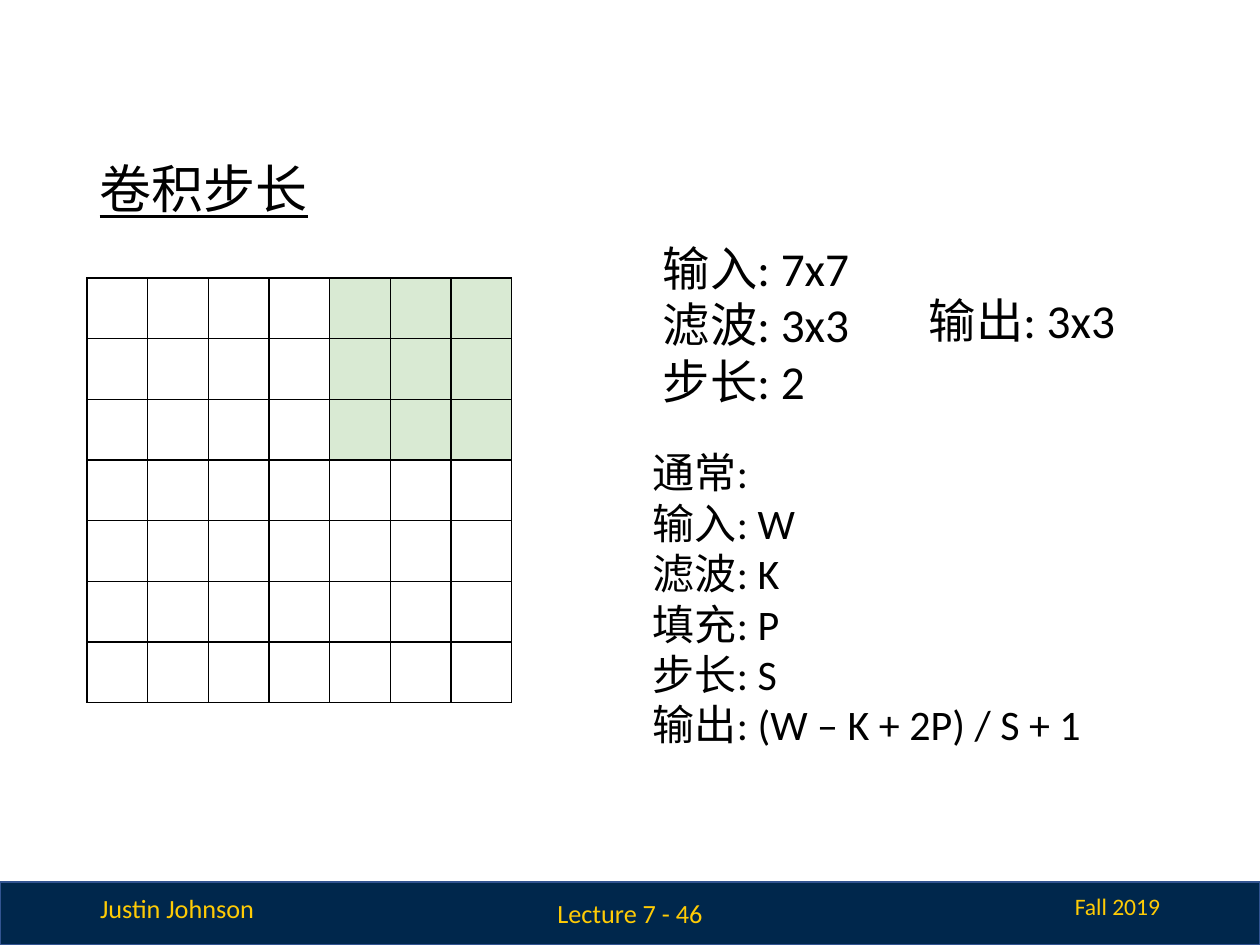
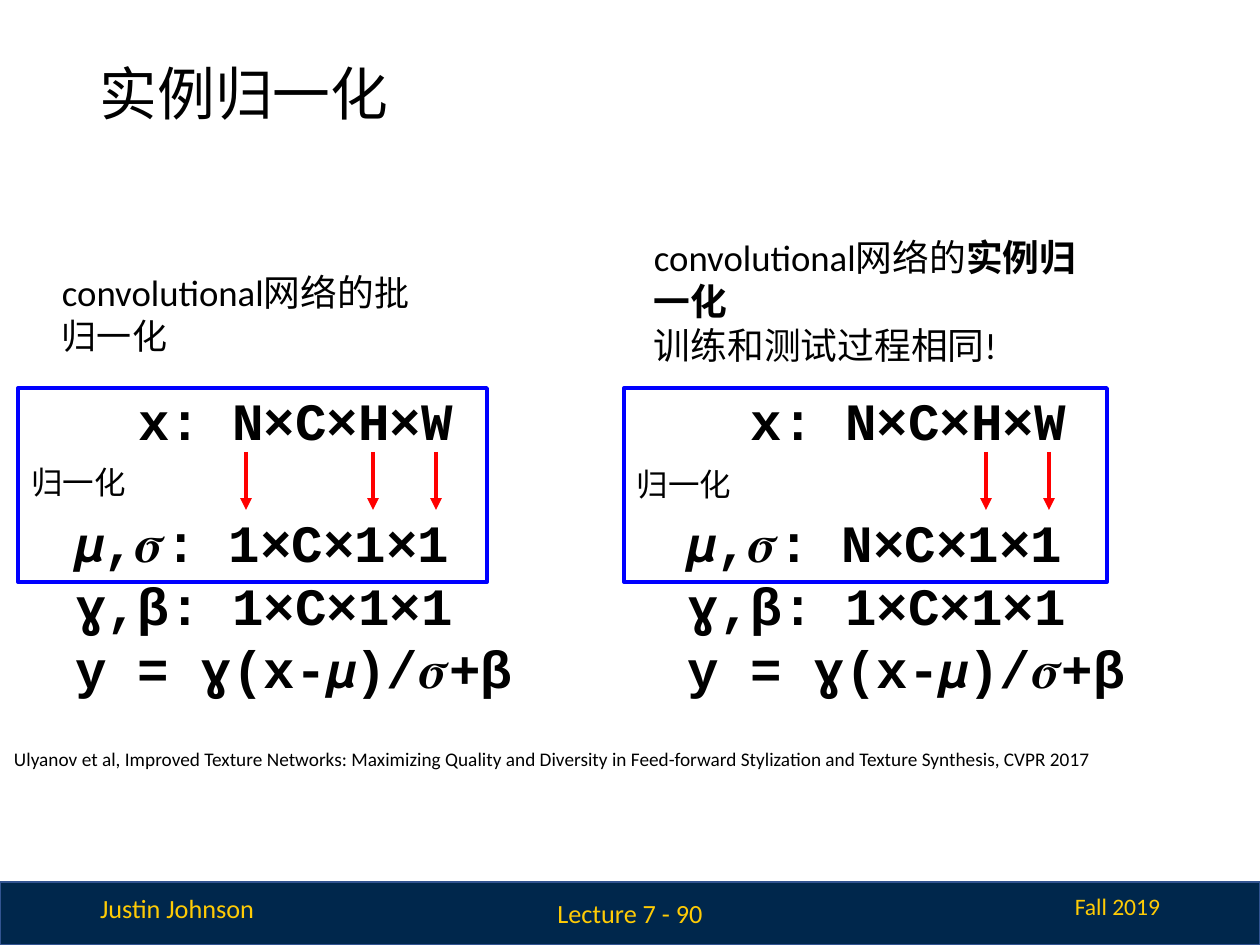
from lxml import etree
from pptx import Presentation
from pptx.dml.color import RGBColor
from pptx.enum import shapes, text
from pptx.oxml import ns
from pptx.util import Emu, Pt

SANS, MONO = "Calibri", "Courier New"
BLACK, NAVY, EDGE, GOLD = "000000", "00274C", "325491", "FFCB05"
BLUE, RED, GREEN = "0000FF", "FF0000", "D9EAD3"
LEFT, MID, RIGHT = text.PP_ALIGN.LEFT, text.PP_ALIGN.CENTER, text.PP_ALIGN.RIGHT
CENTER = text.MSO_ANCHOR.MIDDLE


def px(n):
    return Emu(round(n * 914400 / 126))


def span(box):
    return [px(n) for n in box]


def color(code):
    return RGBColor.from_string(code)


def sub(parent, tag, **attrs):
    return etree.SubElement(parent, ns.qn(tag), **attrs)


def style(para, size, font=SANS, hue=BLACK, bold=None):
    for run in para.runs:
        run.font.size, run.font.name, run.font.bold = Pt(size), font, bold
        run.font.color.rgb = color(hue)


def write(slide, box, lines, size, font=SANS, hue=BLACK, bold=None,
          align=LEFT, anchor=text.MSO_ANCHOR.TOP, pad=13):
    """Add a text box whose top and bottom margins are pad px."""
    shape = slide.shapes.add_textbox(*span(box))
    frame = shape.text_frame
    frame.word_wrap, frame.vertical_anchor = True, anchor
    frame.margin_left = frame.margin_right = px(13)
    frame.margin_top = frame.margin_bottom = px(pad)
    frame.text = "\n".join(lines)
    for para in frame.paragraphs:
        para.alignment = align
        style(para, size, font, hue, bold)
    return shape


def rect(slide, box, line, width, fill=None):
    shape = slide.shapes.add_shape(shapes.MSO_SHAPE.RECTANGLE, *span(box))
    shape.shadow.inherit = False
    if fill:
        shape.fill.solid()
        shape.fill.fore_color.rgb = color(fill)
    else:
        shape.fill.background()
    shape.line.color.rgb, shape.line.width = color(line), Pt(width)
    return shape


def arrow(slide, x, top, end):
    line = slide.shapes.add_connector(
        shapes.MSO_CONNECTOR.STRAIGHT, px(x), px(top), px(x), px(end))
    line.line.color.rgb, line.line.width = color(RED), Pt(2.25)
    sub(line.line._get_or_add_ln(), "a:tailEnd", type="triangle")
    sub(line._element.spPr, "a:effectLst")


def footer(slide, layout):
    """Draw the shared band and move it to the layout."""
    parts = [
        rect(slide, (0, 882, 1260, 63), EDGE, 1, NAVY),
        write(slide, (87, 886, 181, 44), ["Justin Johnson"], 15, hue=GOLD, pad=6),
        write(slide, (924, 886, 249, 42), ["Fall 2019"], 13.5, hue=GOLD,
              align=RIGHT, pad=6),
    ]
    for part in parts:
        layout.shapes._spTree.append(part._element)


def start(slide, name, box, size, page, under=None):
    """Set the title and the page label."""
    title = slide.shapes.title
    title.left, title.top, title.width, title.height = span(box)
    frame = title.text_frame
    frame.text = name
    frame.auto_size = text.MSO_AUTO_SIZE.NONE
    frame.vertical_anchor = CENTER
    para = frame.paragraphs[0]
    para.alignment, para.line_spacing = LEFT, 0.9
    style(para, size)
    para.runs[0].font.underline = under
    write(slide, (460, 888, 340, 50), [f"Lecture 7 - {page}"], 15, hue=GOLD,
          align=MID, anchor=CENTER, pad=6)


def grid(slide, box, count, kernel):
    """Draw a square grid with the kernel shaded at its top right."""
    table = slide.shapes.add_table(count, count, *span(box)).table
    table.first_row = table.horz_banding = False
    for col in table.columns:
        col.width = px(box[2] / count)
    for row in table.rows:
        row.height = px(box[3] / count)
    for i in range(count):
        for j in range(count):
            cell = table.cell(i, j)
            props = cell._tc.get_or_add_tcPr()
            for side in "LRTB":
                edge = sub(props, f"a:ln{side}", w=str(Pt(0.75)))
                sub(sub(edge, "a:solidFill"), "a:srgbClr", val=BLACK)
            if i < kernel and j >= count - kernel:
                cell.fill.solid()
                cell.fill.fore_color.rgb = color(GREEN)
            else:
                cell.fill.background()


def stride(slide):
    start(slide, "卷积步长", (87, 156, 796, 71), 29.7, 46, True)
    grid(slide, (87, 278, 425, 425), 7, 3)
    write(slide, (650, 226, 243, 186), ["输入: 7x7", "滤波: 3x3", "步长: 2"], 27)
    write(slide, (916, 278, 275, 82), ["输出: 3x3"], 27)
    rules = ["通常:", "输入: W", "滤波: K", "填充: P", "步长: S",
             "输出: (W – K + 2P) / S + 1"]
    write(slide, (640, 441, 507, 318), rules, 24, pad=6)


def panel(slide, box, inset, drop, batch, heads):
    """Frame the shapes that are normalized, with an arrow per reduced axis."""
    x, y, wide, _ = box
    rect(slide, box, BLUE, 2.25)
    lines = ["x: N×C×H×W", f"𝞵,𝝈: {batch}×C×1×1", "ɣ,β: 1×C×1×1", "y = ɣ(x-𝞵)/𝝈+β"]
    math = write(slide, (x + inset, y - 13, wide + 40, 339), lines, 30, MONO, bold=True)
    first, second = math.text_frame.paragraphs[:2]
    first._p.get_or_add_pPr().set("marL", str(Pt(36)))
    second.space_before = Pt(34)
    for head in heads:
        arrow(slide, x + inset + head, y + 64, y + 122)
    write(slide, (x, y + drop, 195, 63), ["归一化"], 18)


def caption(slide, box, lines, tail, size, bold=None):
    """Write lines, ending the first one with a run of its own style."""
    shape = write(slide, box, lines, 21)
    run = shape.text_frame.paragraphs[0].add_run()
    run.text = tail
    run.font.name, run.font.size, run.font.bold = SANS, Pt(size), bold
    run.font.color.rgb = color(BLACK)


def norm(slide):
    start(slide, "实例归一化", (87, 50, 1086, 94), 33, 90)
    cite = ("Ulyanov et al, Improved Texture Networks: Maximizing Quality and Diversity "
            "in Feed-forward Stylization and Texture Synthesis, CVPR 2017")
    write(slide, (1, 741, 1105, 35), [cite], 11, anchor=CENTER)
    panel(slide, (18, 388, 469, 194), 44, 62, "1", (184, 311, 374))
    panel(slide, (624, 388, 483, 194), 51, 64, "N", (311, 374))
    lead = "convolutional网络的"
    caption(slide, (49, 257, 406, 108), [lead], "批归一化", 20)
    caption(slide, (641, 222, 464, 135), [lead, "训练和测试过程相同!"],
            "实例归一化", 21, True)


def main():
    deck = Presentation()
    deck.slide_width, deck.slide_height = px(1260), px(945)
    layout = deck.slide_layouts[5]
    slides = [deck.slides.add_slide(layout) for _ in range(2)]
    footer(slides[0], layout)
    stride(slides[0])
    norm(slides[1])
    deck.save("out.pptx")


if __name__ == "__main__":
    main()
